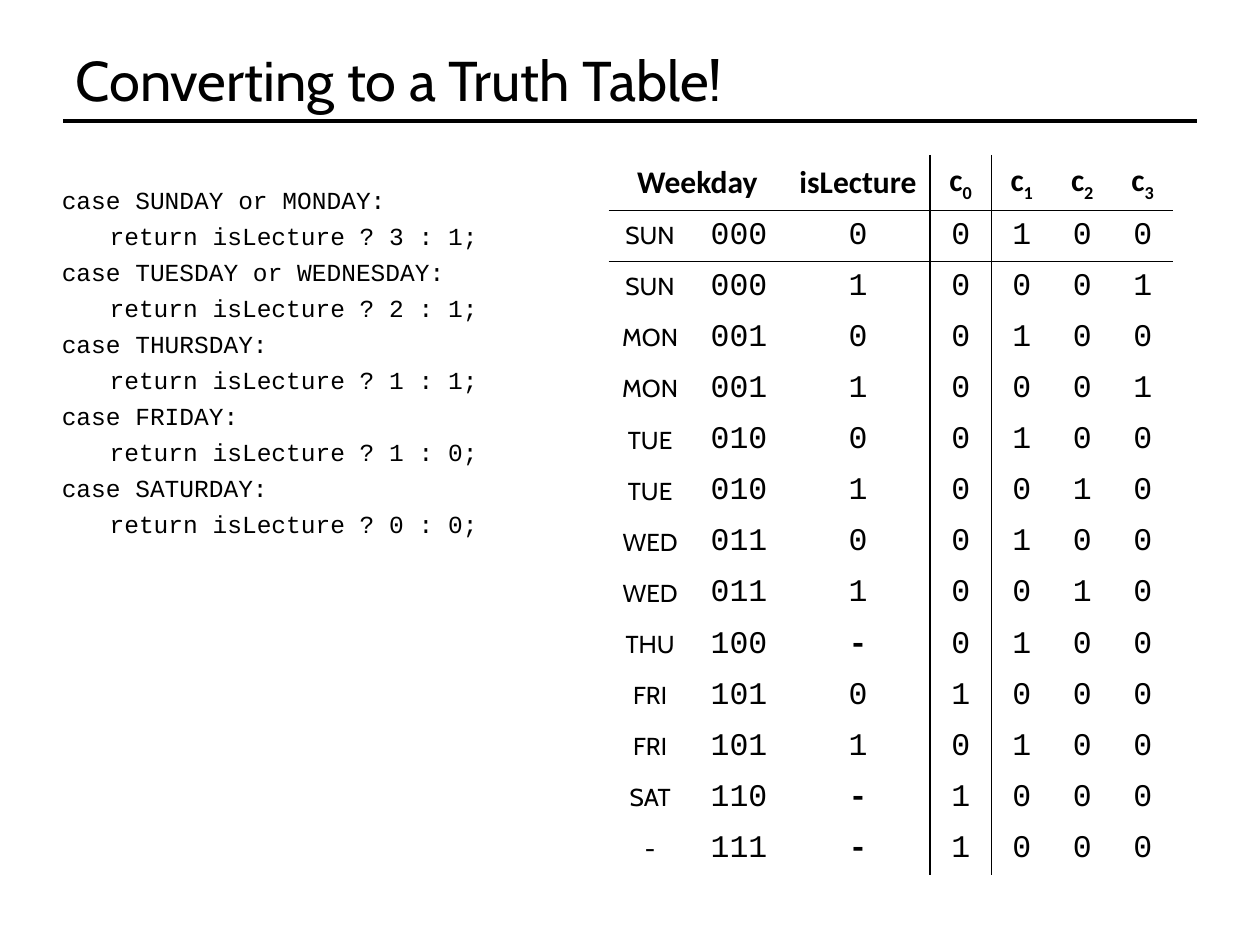
from dataclasses import dataclass

from pptx import Presentation
from pptx.dml.color import RGBColor
from pptx.enum.shapes import MSO_CONNECTOR as Connector
from pptx.enum.text import MSO_ANCHOR as Anchor, MSO_AUTO_SIZE as AutoSize, PP_ALIGN as Align
from pptx.oxml.ns import qn
from pptx.util import Inches, Pt
from lxml.etree import SubElement


@dataclass(frozen=True)
class Theme:
    ink: str = "000000"
    paper: str = "FFFFFF"
    heading_font: str = "Cabin"
    header_font: str = "Calibri"
    code_font: str = "Courier New"
    title_size: int = 32
    table_size: int = 18
    small_size: int = 14
    rule_width: float = 2
    border_width: float = 1


THEME = Theme()
NO_STYLE_NO_GRID = "{2D5ABB26-0587-4C30-8999-92F81FD0307C}"

CODE_CASES = [
    ("SUNDAY or MONDAY", 3, 1),
    ("TUESDAY or WEDNESDAY", 2, 1),
    ("THURSDAY", 1, 1),
    ("FRIDAY", 1, 0),
    ("SATURDAY", 0, 0),
]

# Day, its bits, isLecture, and which of c0 to c3 is set
TRUTH_ROWS = [
    ("SUN", "000", "0", 1),
    ("SUN", "000", "1", 3),
    ("MON", "001", "0", 1),
    ("MON", "001", "1", 3),
    ("TUE", "010", "0", 1),
    ("TUE", "010", "1", 2),
    ("WED", "011", "0", 1),
    ("WED", "011", "1", 2),
    ("THU", "100", "-", 1),
    ("FRI", "101", "0", 0),
    ("FRI", "101", "1", 1),
    ("SAT", "110", "-", 0),
    ("-", "111", "-", 0),
]
COLUMN_WIDTHS = [0.66, 0.75, 1.14, 0.49, 0.48, 0.48, 0.48]


def add_run(paragraph, text, font, size, bold=False, subscript=False):
    run = paragraph.add_run()
    run.text = text
    run.font.name = font
    run.font.size = Pt(size)
    run.font.bold = bold
    run.font.color.rgb = RGBColor.from_string(THEME.ink)
    if subscript:
        run.font._element.set("baseline", "-25000")


def place(shape, box):
    shape.left, shape.top, shape.width, shape.height = map(Inches, box)


def set_borders(cell, sides):
    """Draw the given sides (from L, R, T, B) and hide the others."""
    properties = cell._tc.get_or_add_tcPr()
    for side in "LRTB":
        line = SubElement(properties, qn(f"a:ln{side}"), w=str(Pt(THEME.border_width)))
        if side in sides:
            fill = SubElement(line, qn("a:solidFill"))
            SubElement(fill, qn("a:srgbClr"), val=THEME.ink)
        else:
            SubElement(line, qn("a:noFill"))


def add_title(slide, box, text):
    title = slide.shapes.title
    place(title, box)
    frame = title.text_frame
    frame.auto_size = AutoSize.NONE
    frame.vertical_anchor = Anchor.MIDDLE
    paragraph = frame.paragraphs[0]
    paragraph.alignment = Align.LEFT
    add_run(paragraph, text, THEME.heading_font, THEME.title_size)

    # Rule along the bottom of the title
    left, top, width, height = box
    rule = slide.shapes.add_connector(
        Connector.STRAIGHT, Inches(left), Inches(top + height),
        Inches(left + width), Inches(top + height))
    rule.line.color.rgb = RGBColor.from_string(THEME.ink)
    rule.line.width = Pt(THEME.rule_width)
    SubElement(rule._element.spPr, qn("a:effectLst"))


def add_code(slide, box):
    body = slide.placeholders[1]
    place(body, box)
    frame = body.text_frame
    frame.auto_size = AutoSize.NONE
    frame.word_wrap = True
    frame.vertical_anchor = Anchor.TOP
    lines = []
    for days, lecture, otherwise in CODE_CASES:
        lines += [f"case {days}:", f"\treturn isLecture ? {lecture} : {otherwise};"]
    for index, line in enumerate(lines):
        paragraph = frame.add_paragraph() if index else frame.paragraphs[0]
        paragraph.space_before = Pt(3.75)
        properties = paragraph._p.get_or_add_pPr()
        properties.set("marL", str(Inches(0.38)))
        properties.set("indent", str(-Inches(0.38)))
        SubElement(properties, qn("a:buNone"))
        add_run(paragraph, line, THEME.code_font, THEME.small_size)


def fill_header(table):
    table.cell(0, 0).merge(table.cell(0, 1))
    headings = {0: "Weekday", 2: "isLecture", 3: "c", 4: "c", 5: "c", 6: "c"}
    for column, heading in headings.items():
        paragraph = table.cell(0, column).text_frame.paragraphs[0]
        add_run(paragraph, heading, THEME.header_font, THEME.table_size, bold=True)
        if heading == "c":
            add_run(paragraph, str(column - 3), THEME.header_font,
                    THEME.table_size, bold=True, subscript=True)


def fill_rows(table):
    for row, (day, bits, lecture, chosen) in enumerate(TRUTH_ROWS, 1):
        outputs = ["1" if index == chosen else "0" for index in range(4)]
        for column, text in enumerate([day, bits, lecture, *outputs]):
            paragraph = table.cell(row, column).text_frame.paragraphs[0]
            if column == 0:
                add_run(paragraph, text, THEME.heading_font, THEME.small_size)
            else:
                add_run(paragraph, text, THEME.code_font, THEME.table_size,
                        bold=column == 2 and text == "-")


def cell_sides(row, column):
    """Lines go under the first two rows and on both sides of c0."""
    sides = ""
    if column in (3, 4):
        sides += "L"
    if column in (2, 3):
        sides += "R"
    if row in (1, 2):
        sides += "T"
    if row in (0, 1):
        sides += "B"
    return sides


def add_truth_table(slide, box):
    row_count = len(TRUTH_ROWS) + 1
    frame = slide.shapes.add_table(row_count, len(COLUMN_WIDTHS), *map(Inches, box))
    table = frame.table
    table.first_row = table.horz_banding = False
    table._tbl.tblPr.find(qn("a:tableStyleId")).text = NO_STYLE_NO_GRID
    for column, width in zip(table.columns, COLUMN_WIDTHS):
        column.width = Inches(width)
    for row in table.rows:
        row.height = Inches(box[3] / row_count)

    fill_header(table)
    fill_rows(table)
    for row in range(row_count):
        for column in range(len(COLUMN_WIDTHS)):
            cell = table.cell(row, column)
            cell.vertical_anchor = Anchor.MIDDLE
            cell.text_frame.paragraphs[0].alignment = Align.CENTER
            set_borders(cell, cell_sides(row, column))
            cell.fill.background()


def main():
    presentation = Presentation()
    presentation.slide_width = Inches(10)
    presentation.slide_height = Inches(7.5)
    slide = presentation.slides.add_slide(presentation.slide_layouts[1])
    slide.background.fill.solid()
    slide.background.fill.fore_color.rgb = RGBColor.from_string(THEME.paper)

    add_title(slide, (0.5, 0.3, 9, 0.66), "Converting to a Truth Table!")
    add_truth_table(slide, (4.83, 1.23, 4.48, 5.68))
    add_code(slide, (0.39, 1.42, 3.94, 2.86))
    presentation.save("out.pptx")


if __name__ == "__main__":
    main()
